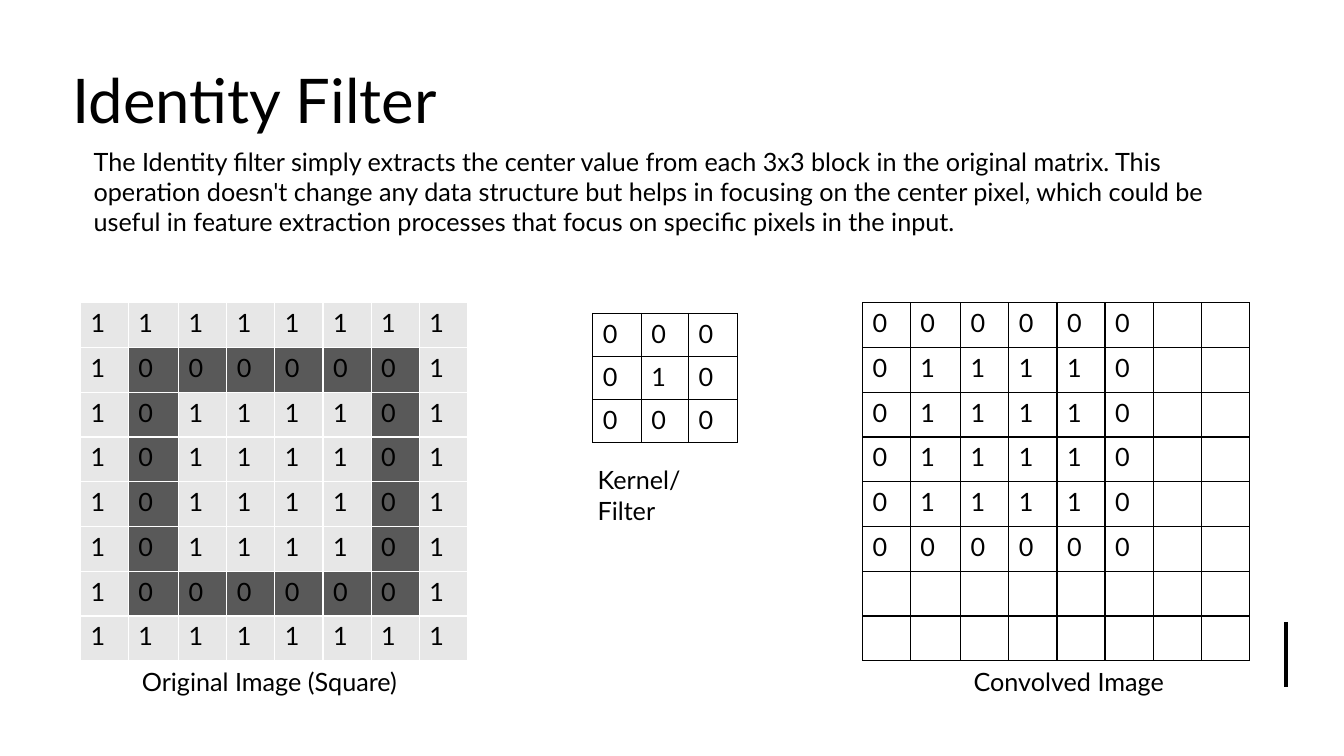
from dataclasses import dataclass

from lxml.etree import SubElement
from pptx import Presentation
from pptx.dml.color import RGBColor
from pptx.enum.shapes import MSO_CONNECTOR
from pptx.enum.text import MSO_ANCHOR, MSO_AUTO_SIZE
from pptx.oxml.ns import qn
from pptx.shapes.shapetree import SlideShapes
from pptx.table import _Cell as Cell
from pptx.text.text import TextFrame
from pptx.util import Pt

BLACK = RGBColor(0x00, 0x00, 0x00)
WHITE = RGBColor(0xFF, 0xFF, 0xFF)
LIGHT = RGBColor(0xE7, 0xE7, 0xE7)
DARK = RGBColor(0x59, 0x59, 0x59)
FONT = "Lato"
BODY_SIZE = 18


@dataclass(frozen=True)
class Matrix:
    left: float
    top: float
    widths: tuple[float, ...]
    row_height: float
    rows: tuple[str, ...]
    border: RGBColor
    fills: dict[str, RGBColor]


@dataclass(frozen=True)
class Label:
    text: str
    left: float
    top: float
    width: float
    height: float
    size: float = BODY_SIZE
    wrap: bool = True
    anchor: MSO_ANCHOR = MSO_ANCHOR.TOP
    autosize: MSO_AUTO_SIZE = MSO_AUTO_SIZE.SHAPE_TO_FIT_TEXT


IMAGE_WIDTHS = (34, 36) + (34.4,) * 6

MATRICES = (
    Matrix(57.6, 216.3, IMAGE_WIDTHS, 31.95,
           ("11111111", "10000001", *("10111101",) * 4, "10000001", "11111111"),
           WHITE, {"1": LIGHT, "0": DARK}),
    Matrix(423.4, 223.9, (34.6, 33.8, 35.3), 30.7,
           ("000", "010", "000"), BLACK, {}),
    Matrix(616.2, 216.3, IMAGE_WIDTHS, 31.95,
           ("000000  ", *("011110  ",) * 4, "000000  ", *(" " * 8,) * 2),
           BLACK, {"1": WHITE, "0": WHITE, " ": WHITE}),
)

LABELS = (
    Label("Identity Filter", 44.6, -38.2, 833, 218.2, 44,
          anchor=MSO_ANCHOR.MIDDLE, autosize=MSO_AUTO_SIZE.NONE),
    Label("The Identity filter simply extracts the center value from each 3x3 block "
          "in the original matrix. This operation doesn't change any data structure "
          "but helps in focusing on the center pixel, which could be useful in "
          "feature extraction processes that focus on specific pixels in the input.",
          59.8, 100.8, 833, 72.7),
    Label("Original Image (Square)", 94.3, 472.3, 203.8, 29),
    Label("Convolved Image", 688.3, 472.3, 151.2, 29, wrap=False),
    Label("Kernel/Filter", 419.8, 328.3, 110.9, 29),
)


def write(frame: TextFrame, text: str, size: float) -> None:
    run = frame.paragraphs[0].add_run()
    run.text = text
    run.font.name = FONT
    run.font.size = Pt(size)
    run.font.color.rgb = BLACK


def draw_label(shapes: SlideShapes, label: Label) -> None:
    box = shapes.add_textbox(Pt(label.left), Pt(label.top),
                             Pt(label.width), Pt(label.height))
    frame = box.text_frame
    frame.word_wrap = label.wrap
    frame.auto_size = label.autosize
    frame.vertical_anchor = label.anchor
    write(frame, label.text, label.size)


def outline(cell: Cell, color: RGBColor) -> None:
    properties = cell._tc.get_or_add_tcPr()
    for side in ("lnL", "lnR", "lnT", "lnB"):
        edge = SubElement(properties, qn(f"a:{side}"), w=str(Pt(1)))
        solid = SubElement(edge, qn("a:solidFill"))
        SubElement(solid, qn("a:srgbClr"), val=str(color))


def draw_matrix(shapes: SlideShapes, matrix: Matrix) -> None:
    table = shapes.add_table(
        len(matrix.rows), len(matrix.widths), Pt(matrix.left), Pt(matrix.top),
        Pt(sum(matrix.widths)), Pt(matrix.row_height * len(matrix.rows))).table
    table.first_row = False
    table.horz_banding = False
    for column, width in zip(table.columns, matrix.widths):
        column.width = Pt(width)
    for r, values in enumerate(matrix.rows):
        table.rows[r].height = Pt(matrix.row_height)
        for c, value in enumerate(values):
            cell = table.cell(r, c)
            outline(cell, matrix.border)
            if value in matrix.fills:
                cell.fill.solid()
                cell.fill.fore_color.rgb = matrix.fills[value]
            else:
                cell.fill.background()
            if value.strip():
                write(cell.text_frame, value, BODY_SIZE)


def draw_accent(shapes: SlideShapes) -> None:
    accent = shapes.add_connector(MSO_CONNECTOR.STRAIGHT,
                                  Pt(918.7), Pt(444.2), Pt(918.7), Pt(491))
    accent.line.color.rgb = BLACK
    accent.line.width = Pt(3)
    SubElement(accent._element.spPr, qn("a:effectLst"))


def main() -> None:
    deck = Presentation()
    deck.slide_width = Pt(960)
    deck.slide_height = Pt(540)
    slide = deck.slides.add_slide(deck.slide_layouts[6])
    slide.background.fill.solid()
    slide.background.fill.fore_color.rgb = WHITE
    draw_accent(slide.shapes)
    title, *captions = LABELS
    draw_label(slide.shapes, title)
    for matrix in MATRICES:
        draw_matrix(slide.shapes, matrix)
    for caption in captions:
        draw_label(slide.shapes, caption)
    deck.save("out.pptx")


if __name__ == "__main__":
    main()
